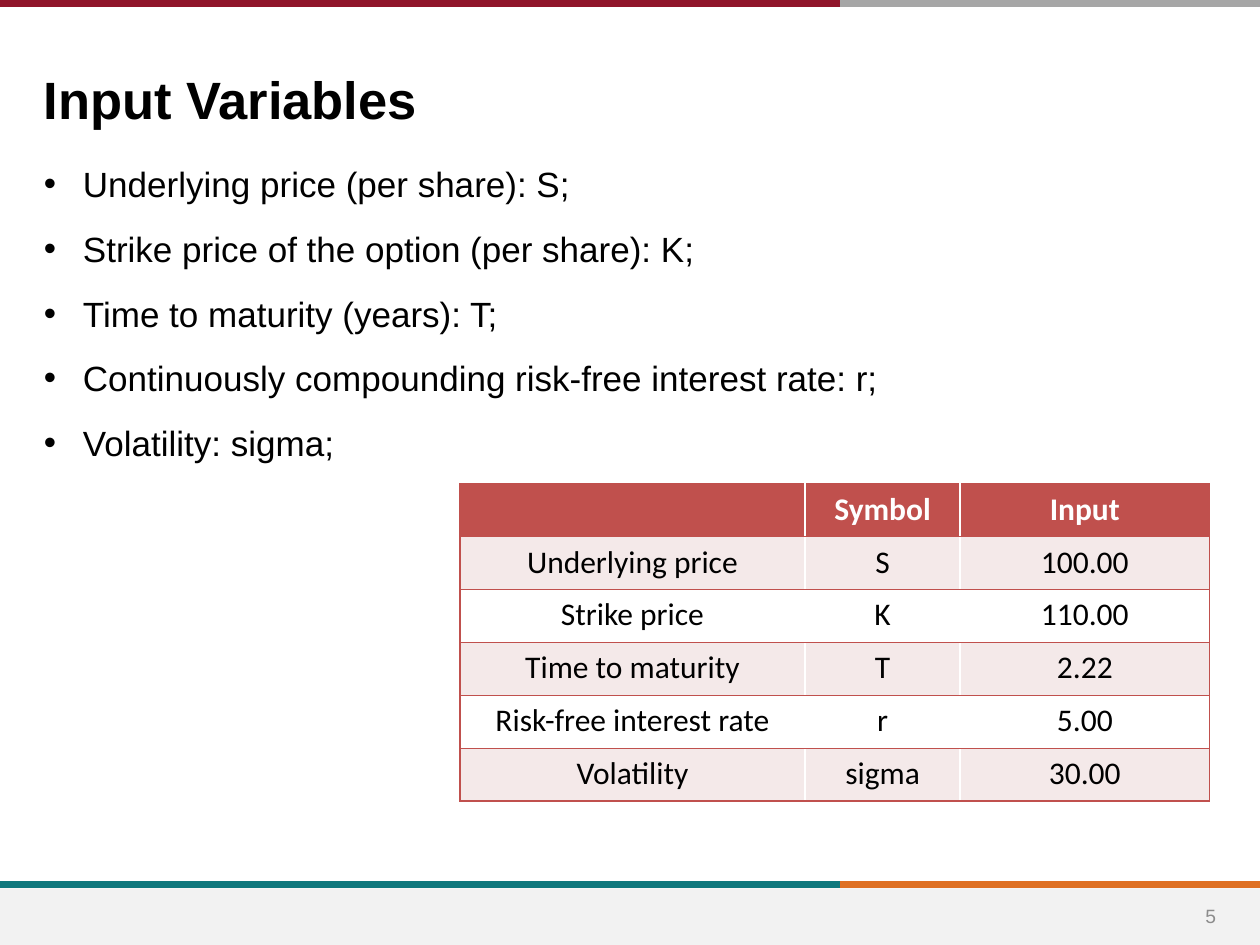
from lxml.etree import SubElement
from pptx import Presentation
from pptx.dml.color import RGBColor
from pptx.enum.shapes import MSO_CONNECTOR as Connector, MSO_SHAPE as Shape
from pptx.enum.text import MSO_ANCHOR as Anchor, PP_ALIGN as Align
from pptx.oxml.ns import qn
from pptx.util import Inches, Pt

RED = "C0504D"
SPLIT = 6.67  # where the two-coloured rules change colour

VARIABLES = [
    "Underlying price (per share): S;",
    "Strike price of the option (per share): K;",
    "Time to maturity (years): T;",
    "Continuously compounding risk-free interest rate: r;",
    "Volatility: sigma;",
]
INPUT_ROWS = [
    ("", "Symbol", "Input"),
    ("Underlying price", "S", "100.00"),
    ("Strike price", "K", "110.00"),
    ("Time to maturity", "T", "2.22"),
    ("Risk-free interest rate", "r", "5.00"),
    ("Volatility", "sigma", "30.00"),
]
COLUMN_WIDTHS = (2.74, 1.23, 1.98)
ROW_HEIGHT = 0.42


def color(hex_value):
    return RGBColor.from_string(hex_value)


def style(paragraph, size, hex_value, font="Arial", bold=False):
    paragraph.font.name = font
    paragraph.font.size = Pt(size)
    paragraph.font.bold = bold
    paragraph.font.color.rgb = color(hex_value)


def add_rule(slide, left, right, y, hex_value):
    rule = slide.shapes.add_connector(
        Connector.STRAIGHT, Inches(left), Inches(y), Inches(right), Inches(y))
    rule.line.color.rgb = color(hex_value)
    rule.line.width = Pt(4)
    SubElement(rule._element.spPr, qn("a:effectLst"))


def add_split_rule(slide, y, left_color, right_color):
    add_rule(slide, SPLIT, 10, y, right_color)
    add_rule(slide, 0, SPLIT, y, left_color)


def add_footer_band(slide):
    band = slide.shapes.add_shape(
        Shape.RECTANGLE, 0, Inches(7.05), Inches(10), Inches(0.45))
    band.shadow.inherit = False
    band.fill.solid()
    band.fill.fore_color.rgb = color("F2F2F2")
    band.line.fill.background()


def add_text(slide, left, top, width, height, text, anchor=Anchor.TOP):
    box = slide.shapes.add_textbox(
        Inches(left), Inches(top), Inches(width), Inches(height))
    frame = box.text_frame
    frame.word_wrap = True
    frame.vertical_anchor = anchor
    frame.text = text
    return frame


def add_bullet(paragraph):
    properties = paragraph._p.get_or_add_pPr()
    properties.set("marL", str(Inches(0.31)))
    properties.set("indent", str(-Inches(0.31)))
    SubElement(properties, qn("a:buFont"), typeface="Arial")
    SubElement(properties, qn("a:buChar"), char="•")


def add_border(cell, side):
    line = SubElement(cell._tc.get_or_add_tcPr(), qn(f"a:ln{side}"), w=str(Pt(1)))
    fill = SubElement(line, qn("a:solidFill"))
    SubElement(fill, qn("a:srgbClr"), val=RED)


def fill_cell(cell, text, row, column):
    # Outer frame and horizontal rules only
    sides = {0: "LTB", len(COLUMN_WIDTHS) - 1: "RTB"}.get(column, "TB")
    for side in sides:
        add_border(cell, side)
    is_header = row == 0
    band = "F4E9E9" if row % 2 else "FFFFFF"
    cell.fill.solid()
    cell.fill.fore_color.rgb = color(RED if is_header else band)
    cell.text_frame.text = text
    paragraph = cell.text_frame.paragraphs[0]
    paragraph.alignment = Align.CENTER
    style(paragraph, 18, "FFFFFF" if is_header else "000000", "Calibri", is_header)


def add_input_table(slide, left, top):
    table = slide.shapes.add_table(
        len(INPUT_ROWS), len(COLUMN_WIDTHS), Inches(left), Inches(top),
        Inches(sum(COLUMN_WIDTHS)), Inches(ROW_HEIGHT * len(INPUT_ROWS))).table
    for column, width in zip(table.columns, COLUMN_WIDTHS):
        column.width = Inches(width)
    for row, values in enumerate(INPUT_ROWS):
        table.rows[row].height = Inches(ROW_HEIGHT)
        for column, value in enumerate(values):
            fill_cell(table.cell(row, column), value, row, column)


def main():
    deck = Presentation()
    deck.slide_width, deck.slide_height = Inches(10), Inches(7.5)
    slide = deck.slides.add_slide(deck.slide_layouts[6])

    # Footer and top rule
    add_split_rule(slide, 7.02, "0F787D", "DF7023")
    add_footer_band(slide)
    add_split_rule(slide, 0.03, "90152A", "A6A6A6")

    # Slide number
    number = add_text(slide, 9.35, 7.07, 0.52, 0.4, "5", Anchor.MIDDLE).paragraphs[0]
    number.alignment = Align.CENTER
    style(number, 11, "8C8C8C")

    # Variable list
    variables = add_text(slide, 0.25, 1.22, 9.51, 5.45, "\n".join(VARIABLES))
    variables.margin_top = Inches(0.07)
    for paragraph in variables.paragraphs:
        paragraph.space_after = Pt(13)
        add_bullet(paragraph)
        style(paragraph, 20, "000000")

    # Title
    title = add_text(slide, 0.25, 0.46, 7.99, 0.59, "Input Variables", Anchor.BOTTOM)
    title.margin_bottom = Inches(0.02)
    style(title.paragraphs[0], 30, "000000", bold=True)

    # Table of inputs
    add_input_table(slide, 3.65, 3.84)

    deck.save("out.pptx")


if __name__ == "__main__":
    main()
